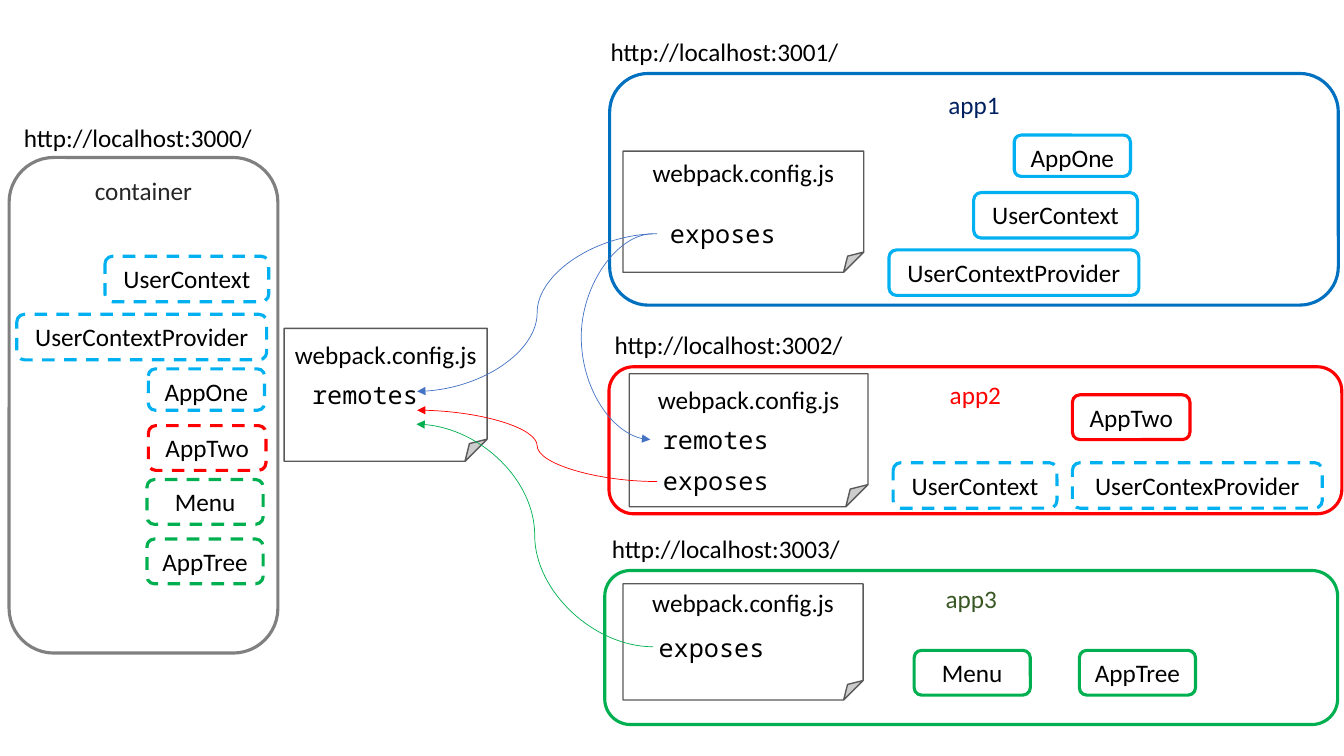
from lxml import etree
from pptx import Presentation
from pptx.dml.color import RGBColor
from pptx.enum import dml, shapes, text
from pptx.oxml.ns import qn
from pptx.util import Pt

COLORS = {
    "white": "FFFFFF", "black": "000000", "gray": "808080", "paper": "595959",
    "charcoal": "262626", "blue": "0070C0", "navy": "002060", "red": "FF0000",
    "green": "00B050", "olive": "385723", "sky": "00B0F0", "arrow": "4472C4",
}
SANS, MONO = "Calibri", "Noto Sans Mono"
TEXT_SIZE = 18
LINE_HEIGHT = 22

# Boxes are (left, top, width, height); keywords and modules give left and top.
APPS = [
    dict(name="container", line="gray", ink="charcoal",
         frame=(6.5, 112.5, 192, 354), url=("http://localhost:3000/", 10, 83.5),
         config=(203, 234.5, 145, 95), keywords=[("remotes", 211, 270.5)],
         own=[],
         remote=[("UserContext", 75, 183), ("UserContextProvider", 12, 224.5),
                 ("AppOne", 106, 263.5), ("AppTwo", 106, 304),
                 ("Menu", 105, 342.5), ("AppTree", 105, 385)]),
    dict(name="app1", line="blue", ink="navy",
         frame=(435.5, 52.5, 520.5, 165.5), url=("http://localhost:3001/", 429, 22.5),
         config=(445, 108, 172, 86.5), keywords=[("exposes", 466.5, 155.5)],
         own=[("AppOne", 724.5, 96.5), ("UserContext", 695.5, 137.5),
              ("UserContextProvider", 635, 178.5)],
         remote=[]),
    dict(name="app2", line="red", ink="red",
         frame=(435, 262, 523.5, 105), url=("http://localhost:3002/", 432, 232),
         config=(449.5, 267, 170.5, 95),
         keywords=[("remotes", 461.5, 303), ("exposes", 461.5, 332)],
         own=[("AppTwo", 766, 282)],
         remote=[("UserContext", 638, 330.5), ("UserContexProvider", 766, 330.5)]),
    dict(name="app3", line="green", ink="olive",
         frame=(432, 407.5, 523.5, 110), url=("http://localhost:3003/", 430, 377.5),
         config=(445, 417, 171.5, 83), keywords=[("exposes", 458.5, 451.5)],
         own=[("Menu", 653, 464.5), ("AppTree", 771, 464.5)],
         remote=[]),
]
MODULES = {  # name: (colour, width, height)
    "UserContext": ("sky", 117, 32.5),
    "UserContextProvider": ("sky", 178.5, 32.5),
    "UserContexProvider": ("sky", 178.5, 32.5),
    "AppOne": ("sky", 83, 29.5),
    "AppTwo": ("red", 84, 32),
    "Menu": ("green", 83, 32),
    "AppTree": ("green", 83, 32),
}
ARROWS = [  # colour, start, end, x of the bend (None: halfway)
    ("arrow", (469.5, 167), (298, 279.5), None),
    ("green", (466.5, 462), (297.5, 303), None),
    ("red", (469.5, 344), (298, 293), None),
    ("arrow", (466.5, 167), (464.5, 314), 415.5),
]


def color(name):
    """Return the named colour."""
    return RGBColor.from_string(COLORS[name])


def write(box, words, ink="black", font=SANS, align=text.PP_ALIGN.CENTER,
          anchor=text.MSO_ANCHOR.TOP, sides=0, top=3.6, wrap=True):
    """Put one line of text in a box."""
    frame = box.text_frame
    frame.word_wrap = wrap
    frame.vertical_anchor = anchor
    frame.margin_left = frame.margin_right = Pt(sides)
    frame.margin_top, frame.margin_bottom = Pt(top), Pt(0)
    para = frame.paragraphs[0]
    para.alignment = align
    span = para.add_run()
    span.text = words
    span.font.name, span.font.size = font, Pt(TEXT_SIZE)
    span.font.color.rgb = color(ink)


def add_box(page, kind, place, line, width=2.25, dashed=False):
    """Add a white outlined shape."""
    box = page.shapes.add_shape(kind, *map(Pt, place))
    box.shadow.inherit = False
    box.fill.solid()
    box.fill.fore_color.rgb = color("white")
    box.line.color.rgb = color(line)
    box.line.width = Pt(width)
    if dashed:
        box.line.dash_style = dml.MSO_LINE.DASH
    return box


def add_module(page, name, left, top, dashed):
    """Add a module, dashed where it is loaded from another app."""
    line, width, height = MODULES[name]
    box = add_box(page, shapes.MSO_SHAPE.ROUNDED_RECTANGLE,
                  (left, top, width, height), line, dashed=dashed)
    write(box, name)


def add_config(page, place):
    """Add a config file page, its title on the first of three centred lines."""
    box = add_box(page, shapes.MSO_SHAPE.FOLDED_CORNER, place, "paper", 1)
    write(box, "webpack.config.js", top=(place[3] * 5 / 6 - 3 * LINE_HEIGHT) / 2 + 1)


def add_arrow(page, line, start, end, bend):
    """Add a curved arrow, bending at the given x."""
    arrow = page.shapes.add_connector(shapes.MSO_CONNECTOR.CURVE, *map(Pt, start + end))
    arrow.line.color.rgb = color(line)
    arrow.line.width = Pt(0.5)
    etree.SubElement(arrow.line._get_or_add_ln(), qn("a:tailEnd"), type="triangle")
    properties = arrow._element.spPr
    etree.SubElement(properties, qn("a:effectLst"))
    if bend is not None:
        share = round((bend - start[0]) / (end[0] - start[0]) * 100000)
        guides = properties.find(qn("a:prstGeom")).get_or_add_avLst()
        etree.SubElement(guides, qn("a:gd"), name="adj1", fmla=f"val {share}")


deck = Presentation()
deck.slide_width, deck.slide_height = Pt(960), Pt(540)
page = deck.slides.add_slide(deck.slide_layouts[6])

for app in APPS:
    frame = add_box(page, shapes.MSO_SHAPE.ROUNDED_RECTANGLE, app["frame"], app["line"])
    write(frame, app["name"], app["ink"])
for app in APPS:
    add_config(page, app["config"])
    for dashed, group in ((False, app["own"]), (True, app["remote"])):
        for module in group:
            add_module(page, *module, dashed)
    for word, left, top in app["keywords"]:
        box = page.shapes.add_textbox(Pt(left), Pt(top), Pt(99.5), Pt(22.5))
        write(box, word, font=MONO, anchor=text.MSO_ANCHOR.MIDDLE, top=0)
    url, left, top = app["url"]
    box = page.shapes.add_textbox(Pt(left), Pt(top), Pt(179), Pt(29))
    write(box, url, align=text.PP_ALIGN.LEFT, sides=7.2, wrap=False)
for arrow in ARROWS:
    add_arrow(page, *arrow)

deck.save("out.pptx")
